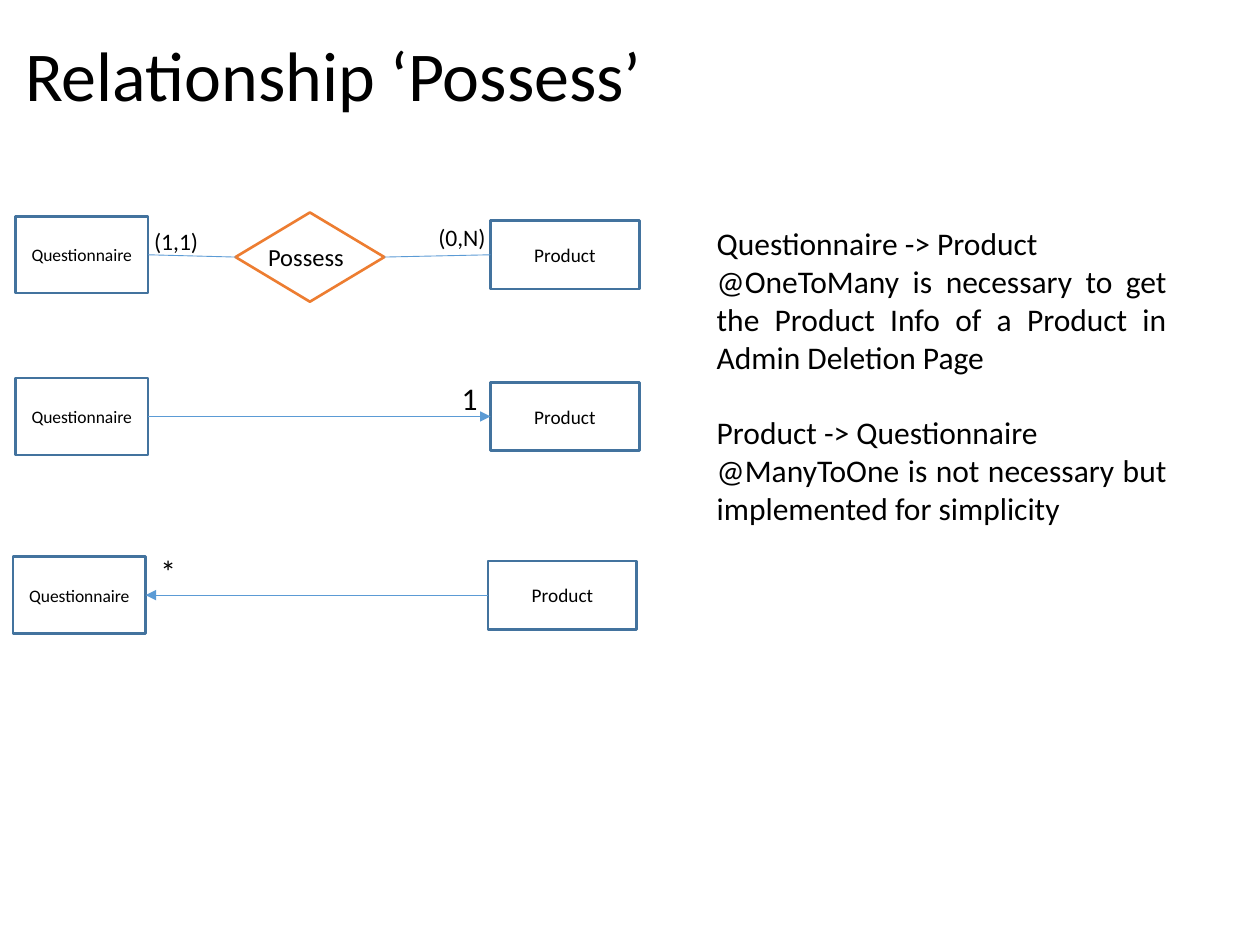
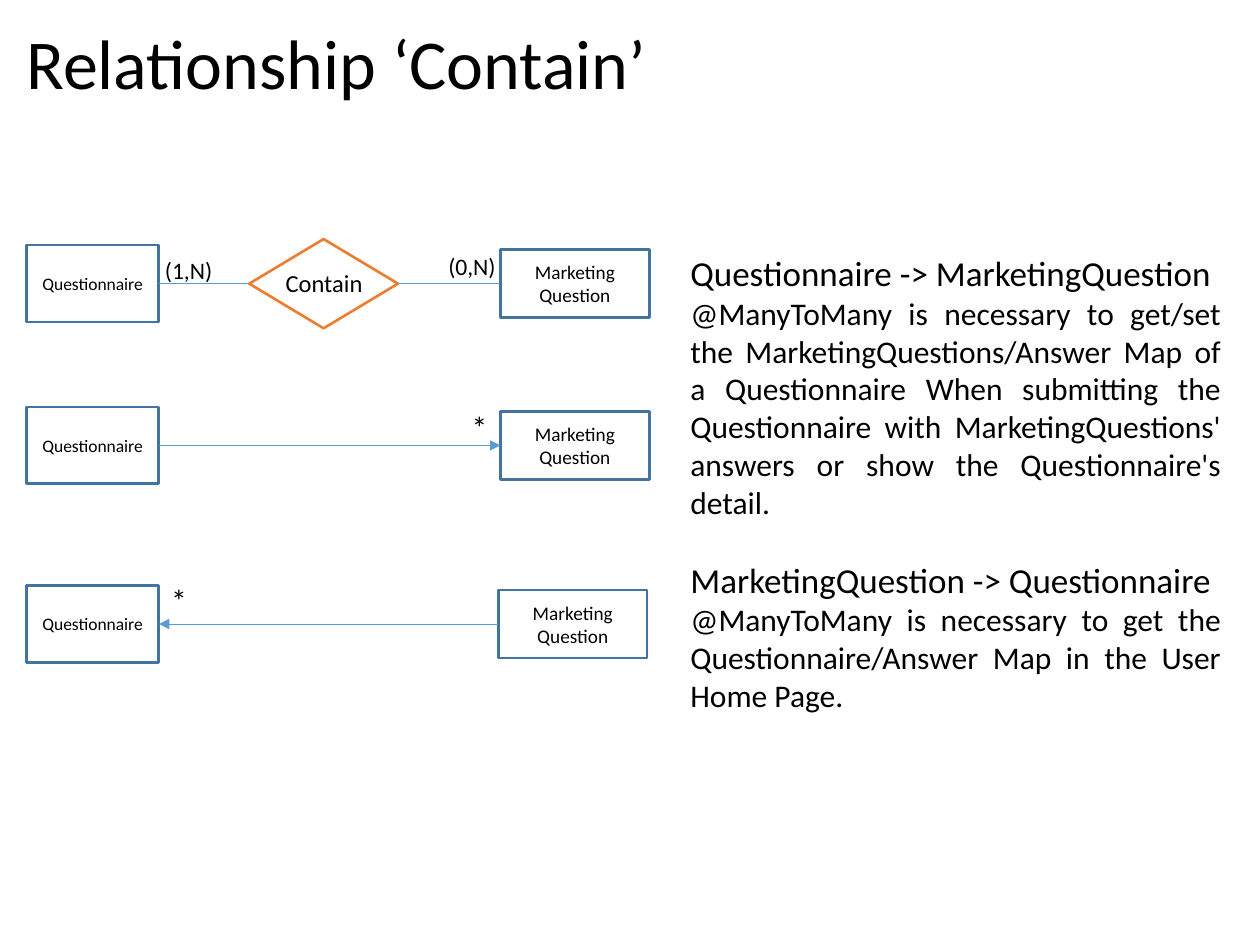
from pptx import Presentation
from pptx.dml.color import RGBColor as RGB
from pptx.enum.shapes import MSO_CONNECTOR as LINK, MSO_SHAPE as KIND
from pptx.enum.text import MSO_ANCHOR as ANCHOR, MSO_AUTO_SIZE as FIT, PP_ALIGN as ALIGN
from pptx.oxml.ns import qn
from pptx.util import Pt
from lxml.etree import SubElement

BLACK = RGB(0x00, 0x00, 0x00)
WHITE = RGB(0xFF, 0xFF, 0xFF)
NAVY = RGB(0x43, 0x73, 0x9E)
BLUE = RGB(0x5B, 0x9B, 0xD5)
ORANGE = RGB(0xED, 0x7D, 0x31)

PAGES = [
    {
        "title": "Relationship ‘Possess’", "head": (7.2, 14.4, 371, 55.4),
        "left": 8.8, "right": 280.3, "mid": 145.6, "shift": (-1.4, -1.4),
        "verb": "Possess", "gem": (134.6, 146.9), "inset": 11.5,
        "target": "Product", "counts": ("(1,1)", "(0,N)"), "ends": ("1", "*"),
        "note": (402.5, 124.6, 271.4, 225), "size": 18,
        "texts": [
            ("Questionnaire -> Product",
             "@OneToMany is necessary to get the Product Info of a Product "
             "in Admin Deletion Page"),
            ("Product -> Questionnaire",
             "@ManyToOne is not necessary but implemented for simplicity"),
        ],
    },
    {
        "title": "Relationship ‘Contain’", "head": (7.9, 7.4, 372, 55.4),
        "left": 15, "right": 286, "mid": 162.1, "shift": (0, -1.2),
        "verb": "Contain", "gem": (142.4, 162.1), "inset": 13.7,
        "target": "Marketing Question", "counts": ("(1,N)", "(0,N)"), "ends": ("*", "*"),
        "note": (387.4, 140.4, 317.5, 273.6), "size": 20,
        "texts": [
            ("Questionnaire -> MarketingQuestion",
             "@ManyToMany is necessary to get/set the MarketingQuestions/Answer Map "
             "of a Questionnaire When submitting the Questionnaire with "
             "MarketingQuestions' answers or show the Questionnaire's detail."),
            ("MarketingQuestion -> Questionnaire",
             "@ManyToMany is necessary to get the Questionnaire/Answer Map "
             "in the User Home Page."),
        ],
    },
]

STEPS = (0, 92.4, 194.5)
SOURCE = (75.8, 44)
TARGET = (85, 39)
GEM = (85, 51)
COUNT = (44, 23.8)
MARK = (23.8, 28.8)
BODY = 18
GAP = 21.6


def style(item, **vals):
    for key, val in vals.items():
        setattr(item, key, val)


def write(para, text, size, align=ALIGN.LEFT):
    para.alignment = align
    run = para.add_run()
    run.text = text
    style(run.font, size=Pt(size), name="Calibri")
    run.font.color.rgb = BLACK


def place(item, spot):
    for key, val in zip(("left", "top", "width", "height"), spot):
        setattr(item, key, Pt(val))


def label(slide, text, spot, size):
    frame = slide.shapes.add_textbox(*map(Pt, spot)).text_frame
    style(frame, word_wrap=False, auto_size=FIT.SHAPE_TO_FIT_TEXT)
    write(frame.paragraphs[0], text, size)


def outline(slide, kind, left, mid, dims, color):
    wide, high = dims
    shape = slide.shapes.add_shape(kind, *map(Pt, (left, mid - high / 2, wide, high)))
    shape.shadow.inherit = False
    shape.fill.background()
    shape.line.color.rgb = color
    shape.line.width = Pt(1.5)
    return shape


def box(slide, text, left, mid, dims, size):
    shape = outline(slide, KIND.RECTANGLE, left, mid, dims, NAVY)
    style(shape.text_frame, word_wrap=True, vertical_anchor=ANCHOR.MIDDLE)
    write(shape.text_frame.paragraphs[0], text, size, ALIGN.CENTER)
    return shape


def link(slide, start, out, end, into, arrow=False):
    line = slide.shapes.add_connector(LINK.STRAIGHT, 0, 0, 0, 0)
    line.begin_connect(start, out)
    line.end_connect(end, into)
    line.line.color.rgb = BLUE
    line.line.width = Pt(0.5)
    if arrow:
        SubElement(line.line._get_or_add_ln(), qn("a:tailEnd"), type="triangle")
    SubElement(line._element.spPr, qn("a:effectLst"))


def title(slide, page):
    head = slide.shapes.title
    place(head, page["head"])
    frame = head.text_frame
    style(frame, word_wrap=False, vertical_anchor=ANCHOR.TOP,
          auto_size=FIT.SHAPE_TO_FIT_TEXT)
    write(frame.paragraphs[0], page["title"], 40)


def diagram(slide, page):
    left, right, mid = page["left"], page["right"], page["mid"]
    edge = left + SOURCE[0]
    moves = ((0, 0), (0, 0), page["shift"])
    rows = [
        (box(slide, "Questionnaire", left + near, mid + step, SOURCE, 10),
         box(slide, page["target"], right + far, mid + step, TARGET, 11))
        for step, (near, far) in zip(STEPS, moves)
    ]
    spot, level = page["gem"]
    gem = outline(slide, KIND.DIAMOND, spot, level, GEM, ORANGE)
    gem.fill.solid()
    gem.fill.fore_color.rgb = WHITE
    label(slide, page["verb"], (spot + page["inset"], level - 12.4, 75.6, 24.5), 14)

    (one, two), (src, dst), (back, fore) = rows
    link(slide, one, 3, gem, 1)
    link(slide, gem, 3, two, 1)
    link(slide, src, 3, dst, 1, True)
    link(slide, fore, 1, back, 3, True)

    first, last = page["counts"]
    ahead, behind = page["ends"]
    label(slide, first, (edge - 3.6, mid - 19.4, *COUNT), 13.5)
    label(slide, last, (right - 36.9, mid - 21.8, *COUNT), 13.5)
    label(slide, ahead, (right - 23.6, mid + STEPS[1] - 25, *MARK), 18)
    label(slide, behind, (edge, mid + STEPS[2] - 28.2, *MARK), 18)


def note(slide, page):
    frame = slide.shapes.add_textbox(*map(Pt, page["note"])).text_frame
    style(frame, word_wrap=True, auto_size=FIT.SHAPE_TO_FIT_TEXT)
    for num, (lead, body) in enumerate(page["texts"]):
        para = frame.add_paragraph() if num else frame.paragraphs[0]
        para.space_before = Pt(GAP * num)
        write(para, lead, page["size"], ALIGN.JUSTIFY)
        write(frame.add_paragraph(), body, BODY, ALIGN.JUSTIFY)


def main():
    deck = Presentation()
    style(deck, slide_width=Pt(720), slide_height=Pt(540))
    for page in PAGES:
        slide = deck.slides.add_slide(deck.slide_layouts[5])
        for part in (title, diagram, note):
            part(slide, page)
    deck.save("out.pptx")


if __name__ == "__main__":
    main()
